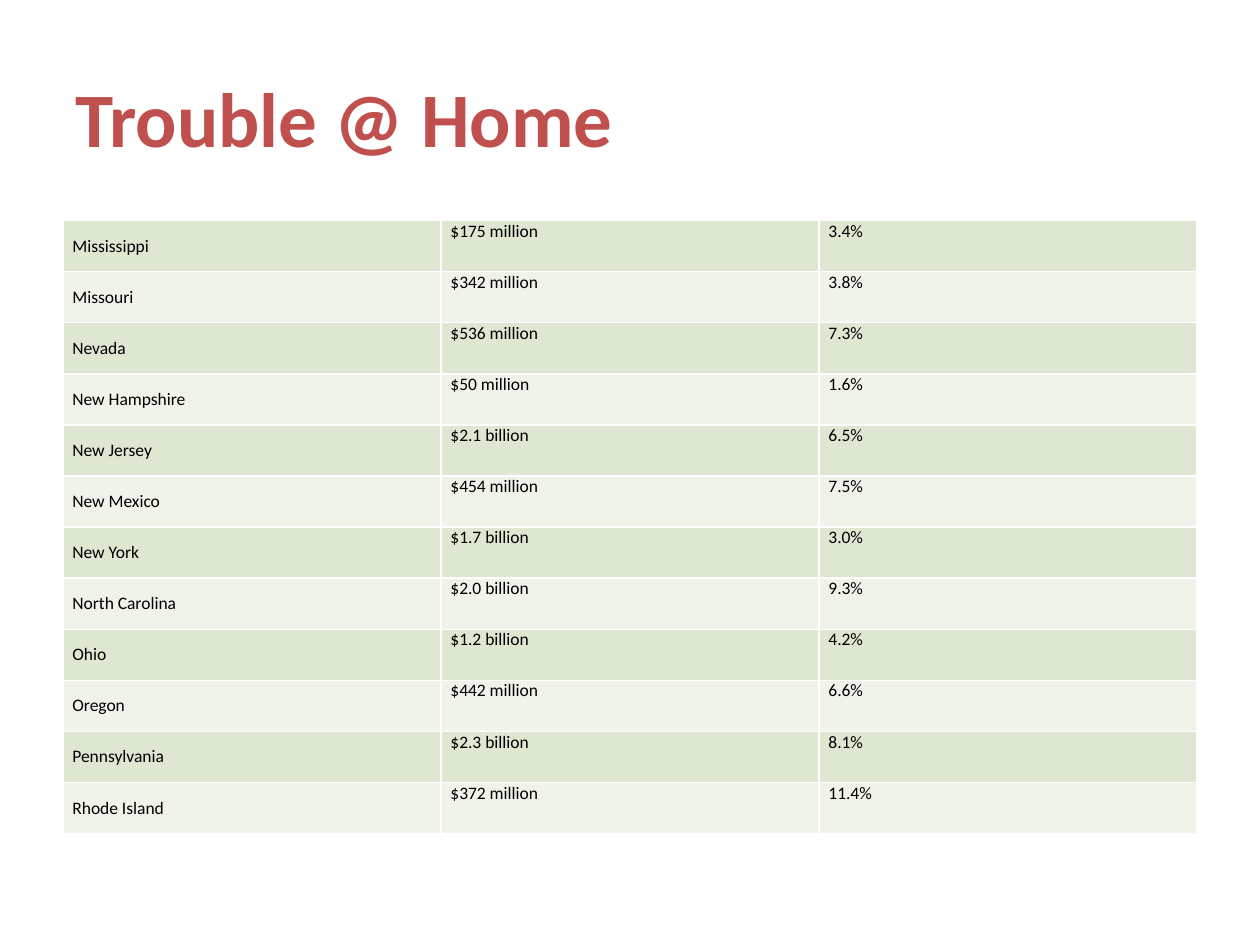
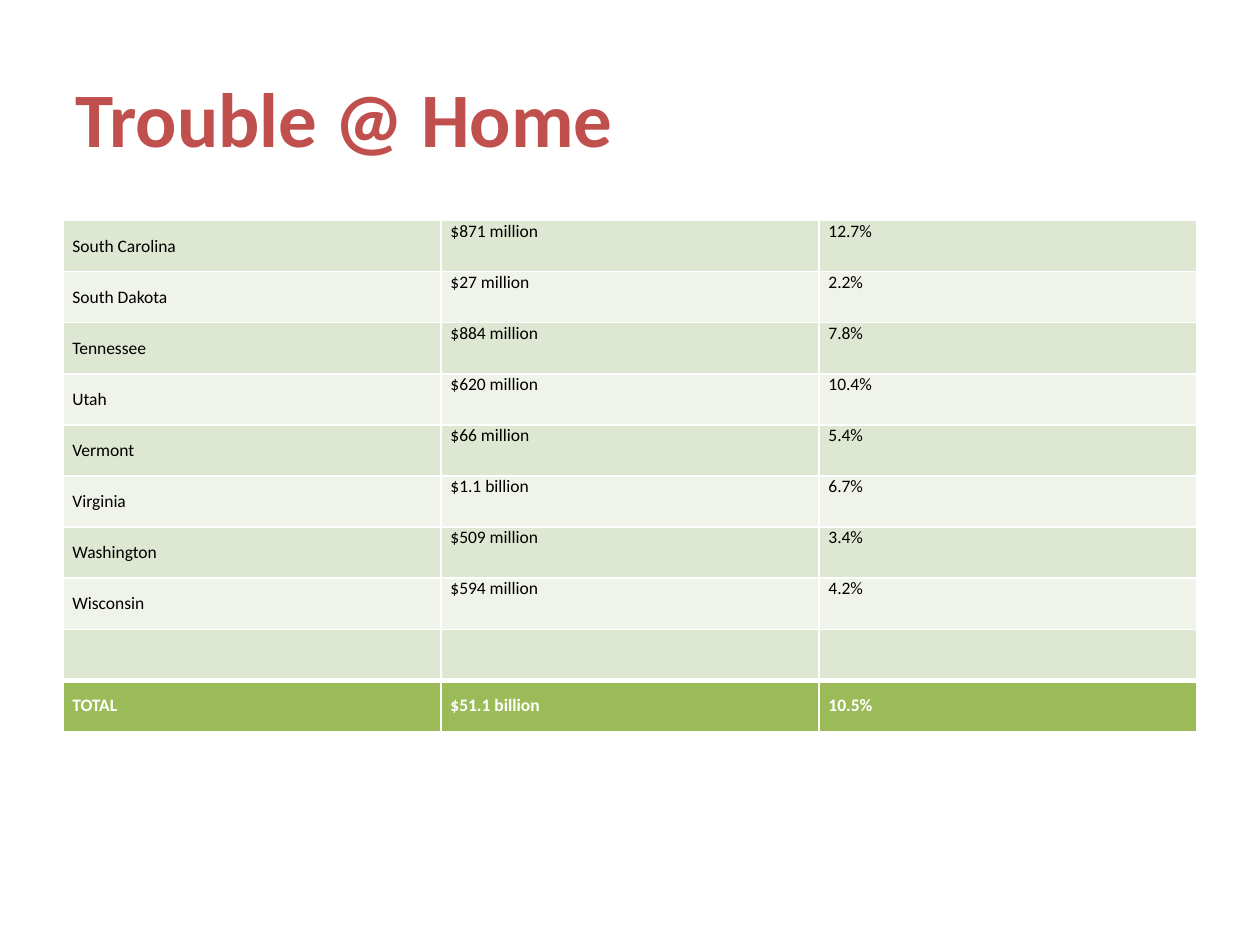
from typing import NamedTuple

from lxml.etree import SubElement
from pptx import Presentation
from pptx.dml.color import RGBColor
from pptx.enum.shapes import MSO_SHAPE
from pptx.enum.text import MSO_ANCHOR, PP_ALIGN
from pptx.oxml.ns import qn
from pptx.util import Inches, Pt

RED = RGBColor(0xC0, 0x50, 0x4D)
GREEN = RGBColor(0x9B, 0xBB, 0x59)
BANDS = (RGBColor(0xDE, 0xE7, 0xD1), RGBColor(0xEF, 0xF3, 0xEA))
WHITE = RGBColor(0xFF, 0xFF, 0xFF)
BLACK = RGBColor(0x00, 0x00, 0x00)
FONT = "Calibri"

SLIDE_WIDTH, SLIDE_HEIGHT = Inches(10), Inches(7.5)
MARGIN = int(SLIDE_WIDTH * 0.05)
CONTENT_WIDTH = SLIDE_WIDTH - 2 * MARGIN
TITLE_TOP = int(SLIDE_HEIGHT * 0.04)
TITLE_HEIGHT = SLIDE_HEIGHT // 6
TABLE_TOP = Inches(1.75)
COLUMNS = 3
ROW_HEIGHT = Inches(4.87) // 12
CELL_INSET = Pt(5.4)


class StateGap(NamedTuple):
    state: str
    shortfall: str
    share: str


class GapSlide(NamedTuple):
    title: str
    gaps: tuple[StateGap, ...]
    total: StateGap | None = None


GAP_SLIDES = (
    GapSlide("Trouble @ Home", (
        StateGap("Mississippi", "$175 million", "3.4%"),
        StateGap("Missouri", "$342 million", "3.8%"),
        StateGap("Nevada", "$536 million", "7.3%"),
        StateGap("New Hampshire", "$50 million", "1.6%"),
        StateGap("New Jersey", "$2.1 billion", "6.5%"),
        StateGap("New Mexico", "$454 million", "7.5%"),
        StateGap("New York", "$1.7 billion", "3.0%"),
        StateGap("North Carolina", "$2.0 billion", "9.3%"),
        StateGap("Ohio", "$1.2 billion", "4.2%"),
        StateGap("Oregon", "$442 million", "6.6%"),
        StateGap("Pennsylvania", "$2.3 billion", "8.1%"),
        StateGap("Rhode Island", "$372 million", "11.4%"),
    )),
    GapSlide("Trouble @ Home", (
        StateGap("South Carolina", "$871 million", "12.7%"),
        StateGap("South Dakota", "$27 million", "2.2%"),
        StateGap("Tennessee", "$884 million", "7.8%"),
        StateGap("Utah", "$620 million", "10.4%"),
        StateGap("Vermont", "$66 million", "5.4%"),
        StateGap("Virginia", "$1.1 billion", "6.7%"),
        StateGap("Washington", "$509 million", "3.4%"),
        StateGap("Wisconsin", "$594 million", "4.2%"),
        StateGap("", "", ""),
    ), StateGap("TOTAL", "$51.1 billion", "10.5%")),
)


def add_run(paragraph, text: str, size: float, color: RGBColor, bold: bool) -> None:
    run = paragraph.add_run()
    run.text = text
    run.font.name = FONT
    run.font.size = Pt(size)
    run.font.color.rgb = color
    run.font.bold = bold


def add_title(slide, title: str) -> None:
    band = slide.shapes.add_shape(MSO_SHAPE.RECTANGLE, MARGIN, TITLE_TOP,
                                  CONTENT_WIDTH, TITLE_HEIGHT)
    band.shadow.inherit = False
    band.fill.solid()
    band.fill.fore_color.rgb = WHITE
    band.line.fill.background()
    frame = band.text_frame
    frame.word_wrap = True
    frame.vertical_anchor = MSO_ANCHOR.MIDDLE
    frame.paragraphs[0].alignment = PP_ALIGN.LEFT
    add_run(frame.paragraphs[0], title, 44, RED, True)


def set_borders(cell, top_width: float) -> None:
    """Rule the cell in white, 1 pt wide except for its top edge."""
    properties = cell._tc.get_or_add_tcPr()
    for edge, width in (("L", 1), ("R", 1), ("T", top_width), ("B", 1)):
        line = SubElement(properties, qn(f"a:ln{edge}"), w=str(Pt(width)))
        fill = SubElement(line, qn("a:solidFill"))
        SubElement(fill, qn("a:srgbClr"), val=str(WHITE))


def fill_row(cells, gap: StateGap, fill: RGBColor, is_total: bool) -> None:
    for column, (cell, text) in enumerate(zip(cells, gap)):
        set_borders(cell, 3 if is_total else 1)
        cell.fill.solid()
        cell.fill.fore_color.rgb = fill
        cell.margin_left = cell.margin_right = CELL_INSET
        cell.margin_top = cell.margin_bottom = 0
        centred = is_total or column == 0
        cell.vertical_anchor = MSO_ANCHOR.MIDDLE if centred else MSO_ANCHOR.TOP
        if text:
            add_run(cell.text_frame.paragraphs[0], text, 10,
                    WHITE if is_total else BLACK, is_total)


def add_gap_table(slide, content: GapSlide) -> None:
    gaps = content.gaps + ((content.total,) if content.total else ())
    table = slide.shapes.add_table(len(gaps), COLUMNS, MARGIN, TABLE_TOP,
                                   CONTENT_WIDTH, ROW_HEIGHT * len(gaps)).table
    table.first_row = table.horz_banding = False
    for index, (row, gap) in enumerate(zip(table.rows, gaps)):
        is_total = gap is content.total
        fill_row(row.cells, gap, GREEN if is_total else BANDS[index % 2], is_total)


def main() -> None:
    deck = Presentation()
    deck.slide_width, deck.slide_height = SLIDE_WIDTH, SLIDE_HEIGHT
    for content in GAP_SLIDES:
        slide = deck.slides.add_slide(deck.slide_layouts[6])
        add_title(slide, content.title)
        add_gap_table(slide, content)
    deck.save("out.pptx")


if __name__ == "__main__":
    main()
